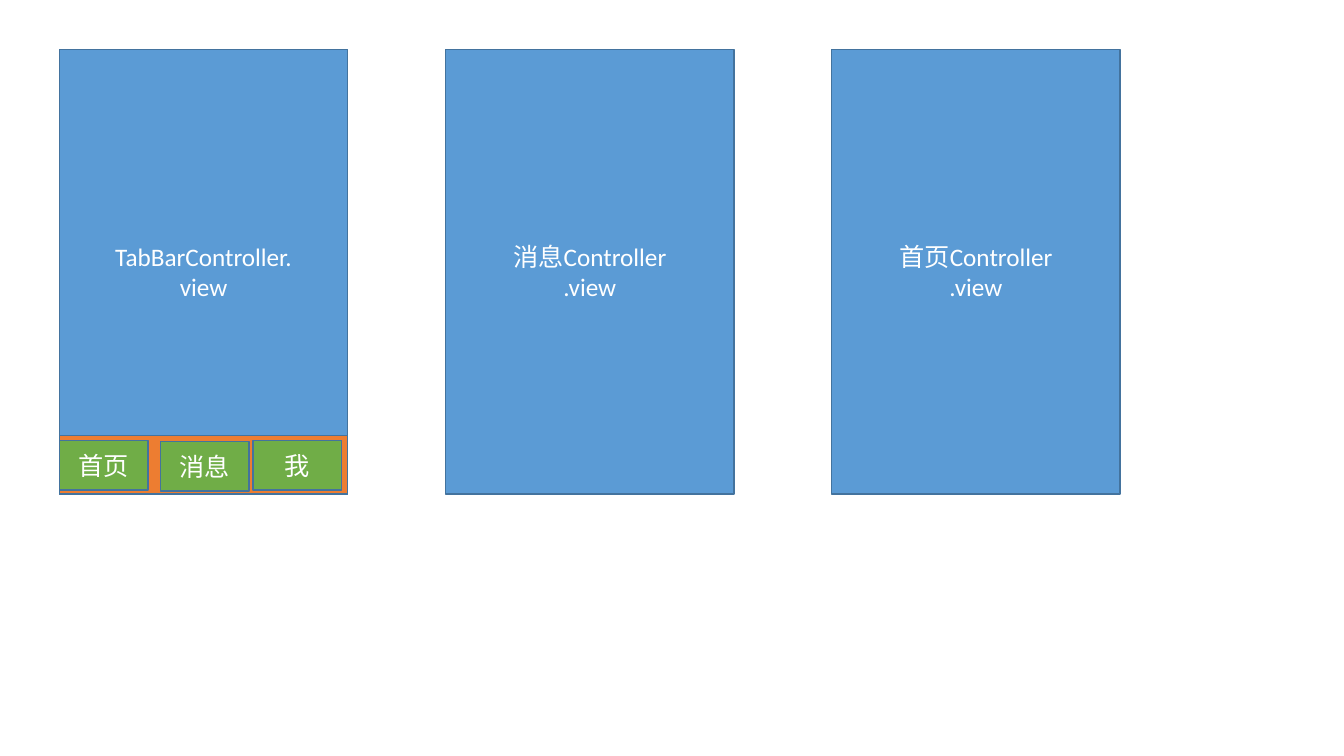
from pptx import Presentation
from pptx.dml.color import RGBColor
from pptx.enum.shapes import MSO_SHAPE
from pptx.enum.text import MSO_ANCHOR, PP_ALIGN
from pptx.util import Inches, Pt

SCREEN_BLUE = RGBColor(0x5B, 0x9B, 0xD5)
BAR_ORANGE = RGBColor(0xED, 0x7D, 0x31)
TAB_GREEN = RGBColor(0x70, 0xAD, 0x47)
OUTLINE = RGBColor(0x43, 0x73, 0x9E)
WHITE = RGBColor(0xFF, 0xFF, 0xFF)

SCREEN_LEFT, SCREEN_TOP, SCREEN_PITCH = 0.59, 0.49, 3.83
SCREEN_WIDTH, SCREEN_HEIGHT = 2.86, 4.41
BAR_HEIGHT = 0.58
TAB_WIDTH, TAB_HEIGHT = 0.88, 0.49

SCREENS = [
    ("TabBarController.", "view"),
    ("消息Controller", ".view"),
    ("首页Controller", ".view"),
]
# Label with its offset from the top left corner of the tab bar
TABS = [("首页", 0, 0.05), ("消息", 1, 0.06), ("我", 1.92, 0.05)]


def add_block(slide, left, top, width, height, color, lines=()):
    """Add an outlined rectangle with one centred paragraph per line."""
    block = slide.shapes.add_shape(
        MSO_SHAPE.RECTANGLE, Inches(left), Inches(top), Inches(width), Inches(height)
    )
    block.shadow.inherit = False
    block.fill.solid()
    block.fill.fore_color.rgb = color
    block.line.color.rgb = OUTLINE
    block.line.width = Pt(1)
    if not lines:
        return
    frame = block.text_frame
    frame.word_wrap = True
    frame.vertical_anchor = MSO_ANCHOR.MIDDLE
    frame.text = "\n".join(lines)
    for paragraph in frame.paragraphs:
        paragraph.alignment = PP_ALIGN.CENTER
        paragraph.font.name = "Calibri"
        paragraph.font.size = Pt(18)
        paragraph.font.color.rgb = WHITE


def add_screens(slide, left, top):
    for index, lines in enumerate(SCREENS):
        add_block(slide, left + index * SCREEN_PITCH, top,
                  SCREEN_WIDTH, SCREEN_HEIGHT, SCREEN_BLUE, lines)


def add_tab_bar(slide, left, top, width, height):
    add_block(slide, left, top, width, height, BAR_ORANGE)
    for label, dx, dy in TABS:
        add_block(slide, left + dx, top + dy, TAB_WIDTH, TAB_HEIGHT, TAB_GREEN, [label])


def main():
    prs = Presentation()
    prs.slide_width, prs.slide_height = Inches(13.33), Inches(7.5)
    slide = prs.slides.add_slide(prs.slide_layouts[6])
    add_screens(slide, SCREEN_LEFT, SCREEN_TOP)
    bar_top = SCREEN_TOP + SCREEN_HEIGHT - BAR_HEIGHT
    add_tab_bar(slide, SCREEN_LEFT, bar_top, SCREEN_WIDTH, BAR_HEIGHT)
    prs.save("out.pptx")


if __name__ == "__main__":
    main()
